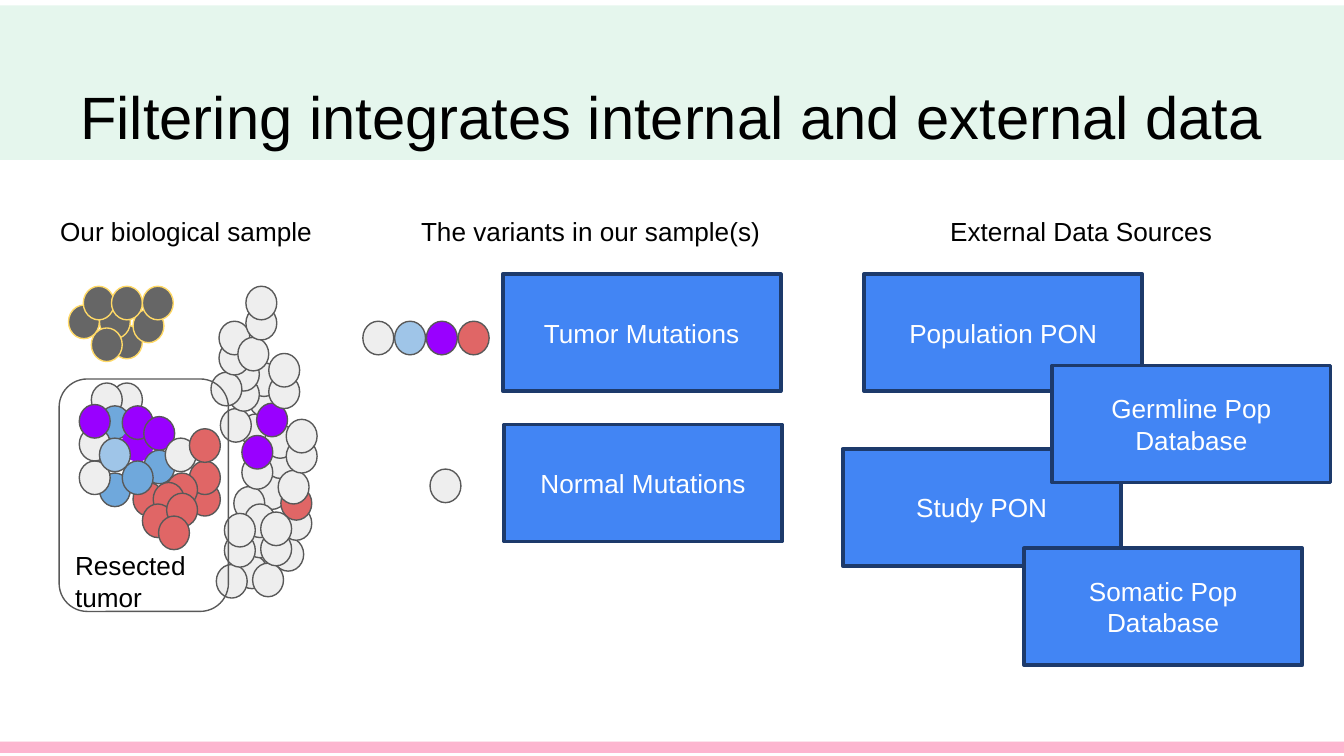
from lxml.etree import SubElement as Sub
from pptx import Presentation
from pptx.dml.color import RGBColor as Rgb
from pptx.enum.shapes import MSO_CONNECTOR as Link, MSO_SHAPE as Kind
from pptx.enum.text import MSO_ANCHOR as Anchor, MSO_AUTO_SIZE as Fit, PP_ALIGN as Align
from pptx.oxml.ns import qn
from pptx.util import Inches, Pt

FONT = "Arial"
GRAY = "595959"

# Cell type: fill, outline
CELLS = {
    "plain": ("EEEEEE", GRAY),
    "red": ("E06666", GRAY),
    "blue": ("6FA8DC", GRAY),
    "pale": ("9FC5E8", GRAY),
    "purple": ("9900FF", GRAY),
    "solid": ("9900FF", "9900FF"),
    "dark": ("666666", "FFD966"),
}

# Tumor cells, from back to front
TUMOR = [
    ("red", 1.41, 3.59), ("red", 1.41, 3.43), ("plain", 0.83, 2.85),
    ("plain", 0.68, 2.85), ("blue", 0.74, 3.02), ("solid", 0.91, 3.18),
    ("blue", 1.07, 3.35), ("red", 1.24, 3.52), ("red", 0.99, 3.59),
    ("blue", 0.74, 3.52), ("plain", 0.59, 3.43), ("blue", 0.91, 3.43),
    ("plain", 0.59, 3.18), ("purple", 0.91, 3.02), ("pale", 0.74, 3.26),
    ("purple", 0.59, 3.01), ("purple", 1.07, 3.1), ("plain", 1.23, 3.26),
    ("red", 1.14, 3.59), ("red", 1.06, 3.75), ("red", 1.24, 3.67),
    ("red", 1.18, 3.84), ("red", 1.41, 3.19),
]

# Strands of three cells: type of the top cell, place of the bottom cell
LOWER = [
    ("plain", 1.79, 3.08), ("plain", 1.64, 3.04), ("plain", 1.91, 3.54),
    ("purple", 1.74, 3.62), ("plain", 1.76, 4.13), ("red", 2.03, 4),
    ("plain", 2.07, 3.5),
]
UPPER = [
    ("plain", 1.88, 4.19), ("plain", 1.61, 4.2),
    ("plain", 1.57, 2.77), ("plain", 1.77, 2.51),
]
LONE = [("purple", 1.91, 3), ("plain", 2, 2.79), ("plain", 2, 2.63)]

DARK = [
    (0.83, 2.42), (0.74, 2.27), (0.68, 2.44), (0.51, 2.27),
    (0.99, 2.3), (0.62, 2.13), (0.83, 2.13), (1.06, 2.13),
]

BOXES = [
    ("Normal Mutations", 3.75, 3.16), ("Population PON", 6.43, 2.04),
    ("Study PON", 6.27, 3.34), ("Tumor Mutations", 3.74, 2.04),
    ("Germline Pop Database", 7.83, 2.72), ("Somatic Pop Database", 7.62, 4.08),
]

HEADS = [
    ("Our biological sample", -0.04),
    ("The variants in our sample(s)", 2.97),
    ("External Data Sources", 6.62),
]


def color(code):
    return Rgb.from_string(code)


def fade(node, share):
    """Set the opacity, in percent, of the solid fill inside node."""
    tint = node.find(".//" + qn("a:srgbClr"))
    Sub(tint, qn("a:alpha"), val=str(share * 1000))


def write(frame, text, size, code, align):
    frame.word_wrap = True
    frame.text = text
    par = frame.paragraphs[0]
    par.alignment = align
    font = par.runs[0].font
    font.name, font.size = FONT, Pt(size)
    font.color.rgb = color(code)


def shape(slide, kind, x, y, w, h, fill=None, line=None, width=0.75):
    item = slide.shapes.add_shape(kind, Inches(x), Inches(y), Inches(w), Inches(h))
    item.shadow.inherit = False
    if fill:
        item.fill.solid()
        item.fill.fore_color.rgb = color(fill)
    else:
        item.fill.background()
    if line:
        item.line.color.rgb = color(line)
        item.line.width = Pt(width)
    else:
        item.line.fill.background()
    return item


def cell(slide, name, x, y):
    fill, line = CELLS[name]
    shape(slide, Kind.OVAL, x, y, 0.23, 0.25, fill, line)


def strand(slide, top, x, y):
    cell(slide, "plain", x, y)
    cell(slide, "plain", x + 0.06, y - 0.23)
    cell(slide, top, x + 0.06, y - 0.38)


def box(slide, text, x, y):
    item = shape(slide, Kind.RECTANGLE, x, y, 2.07, 0.87, "4285F4", "1D3A6B", 2)
    item.text_frame.vertical_anchor = Anchor.MIDDLE
    write(item.text_frame, text, 14, "FFFFFF", Align.CENTER)


def label(slide, text, x, y, w, h, align, inset):
    item = slide.shapes.add_textbox(Inches(x), Inches(y), Inches(w), Inches(h))
    frame = item.text_frame
    frame.margin_left = frame.margin_right = Inches(0.1)
    frame.margin_top = frame.margin_bottom = Inches(inset)
    write(frame, text, 14, "000000", align)


def rule(slide, y, code, width, share):
    line = slide.shapes.add_connector(
        Link.STRAIGHT, Inches(0), Inches(y), Inches(10), Inches(y))
    line.line.color.rgb = color(code)
    line.line.width = Pt(width)
    props = line.element.spPr
    Sub(props, qn("a:effectLst"))
    fade(props, share)


def head(slide, text):
    title = slide.shapes.title
    title.left, title.top = Inches(0.34), Inches(0.49)
    title.width, title.height = Inches(9.32), Inches(0.63)
    frame = title.text_frame
    frame.auto_size = Fit.NONE
    frame.vertical_anchor = Anchor.TOP
    frame.margin_top = frame.margin_bottom = Inches(0.1)
    write(frame, text, 32, "000000", Align.CENTER)
    # Bring the title in front of the band
    title.element.getparent().append(title.element)


def main():
    deck = Presentation()
    # Wide format, 16 to 9
    deck.slide_width = Inches(10)
    deck.slide_height = Inches(10) * 9 // 16
    slide = deck.slides.add_slide(deck.slide_layouts[5])

    # Band between two layers of the bottom rule, then the title
    rule(slide, 5.56, "FD337B", 6, 20)
    band = shape(slide, Kind.RECTANGLE, 0, 0.04, 10, 1.15, "00B050")
    fade(band.element.spPr, 10)
    rule(slide, 5.56, "FD337B", 6, 20)
    head(slide, "Filtering integrates internal and external data")

    # Tumor and the tissue beside it
    for item in TUMOR:
        cell(slide, *item)
    for item in LOWER:
        strand(slide, *item)
    for item in LONE:
        cell(slide, *item)
    for item in UPPER:
        strand(slide, *item)

    # Resected part
    shape(slide, Kind.ROUNDED_RECTANGLE, 0.44, 2.82, 1.26, 1.73, line=GRAY)
    label(slide, "Resected tumor", 0.46, 3.99, 1.15, 0.67, Align.LEFT, 0.1)

    # Dark cells
    for x, y in DARK:
        cell(slide, "dark", x, y)

    # Cells that stand for the variants
    for i, name in enumerate(["plain", "pale", "purple", "red"]):
        cell(slide, name, 2.7 + 0.71 * i / 3, 2.39)
    cell(slide, "plain", 3.2, 3.49)

    # Data boxes and column heads
    for item in BOXES:
        box(slide, *item)
    for text, x in HEADS:
        label(slide, text, x, 1.55, 2.85, 0.34, Align.CENTER, 0.05)

    deck.save("out.pptx")


if __name__ == "__main__":
    main()
